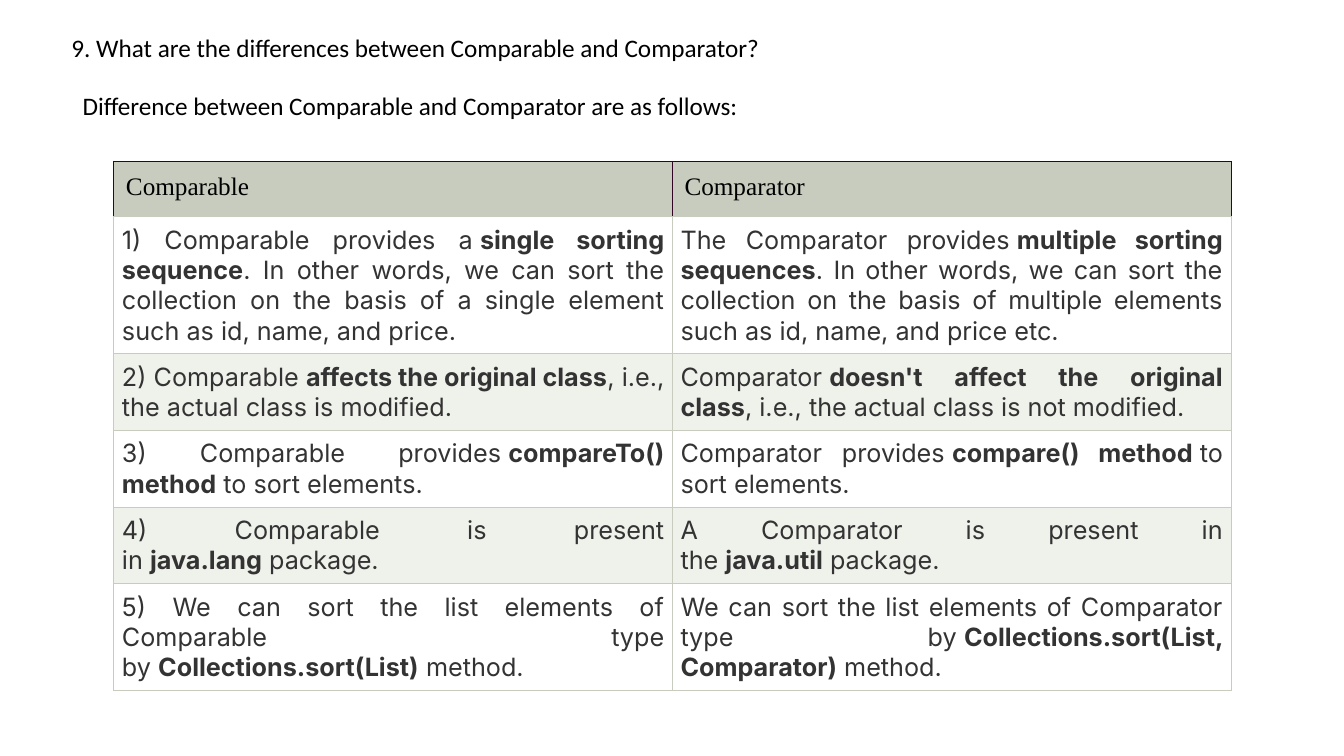
from lxml import etree
from pptx import Presentation
from pptx import util as u
from pptx.dml.color import RGBColor
from pptx.enum import text
from pptx.oxml.ns import qn

WIDTH, HEIGHT = 13.33, 7.5
COLORS = {"black": "000000", "body": "333333", "sage": "C7CCBE",
          "plum": "300422", "white": "FFFFFF", "band": "EFF1EB"}

# text, left, top, width, height
HEADINGS = [
    ("9. What are the differences between Comparable and Comparator?",
     0.61, 0.27, 7.11, 0.4),
    ("Difference between Comparable and Comparator are as follows:",
     0.72, 0.85, 6.78, 1.01),
]
HEADER = ("Comparable", "Comparator")
# lines of text in the row, then per column: lead, bold words, ending
ROWS = [
    (4,
     ("1) Comparable provides a", "single sorting sequence",
      ". In other words, we can sort the collection on the basis of "
      "a single element such as id, name, and price."),
     ("The Comparator provides", "multiple sorting sequences",
      ". In other words, we can sort the collection on the basis of "
      "multiple elements such as id, name, and price etc.")),
    (2,
     ("2) Comparable", "affects the original class",
      ", i.e., the actual class is modified."),
     ("Comparator", "doesn't affect the original class",
      ", i.e., the actual class is not modified.")),
    (2,
     ("3) Comparable provides", "compareTo() method", " to sort elements."),
     ("Comparator provides", "compare() method", " to sort elements.")),
    (2,
     ("4) Comparable is present in", "java.lang", " package."),
     ("A Comparator is present in the", "java.util", " package.")),
    (3,
     ("5) We can sort the list elements of Comparable type by",
      "Collections.sort(List)", " method."),
     ("We can sort the list elements of Comparator type by",
      "Collections.sort(List, Comparator)", " method.")),
]
TABLE_LEFT, TABLE_TOP, COLUMN_WIDTH = 1.13, 1.6, 5.54
HEADER_HEIGHT, LINE_HEIGHT = 0.55, 0.3
HEADER_INSET, BODY_INSET = 0.12, 0.08
HARD_SPACE = chr(160)


def add_span(para, words, font, color, bold=False):
    span = para.add_run()
    span.text = words
    span.font.size = u.Pt(18)
    span.font.name = font
    span.font.bold = bold
    span.font.color.rgb = RGBColor.from_string(COLORS[color])


def style_cell(cell, fill, inset, side_color):
    """Set fill, margins and borders; the bottom border is always sage."""
    cell.fill.solid()
    cell.fill.fore_color.rgb = RGBColor.from_string(COLORS[fill])
    cell.margin_left = cell.margin_right = u.Inches(inset)
    cell.margin_top = cell.margin_bottom = u.Inches(inset)
    props = cell._tc.get_or_add_tcPr()
    for place, side in enumerate("LRTB"):
        line = etree.Element(qn(f"a:ln{side}"), w=str(u.Pt(0.75)))
        paint = etree.SubElement(line, qn("a:solidFill"))
        color = "sage" if side == "B" else side_color
        etree.SubElement(paint, qn("a:srgbClr"), val=COLORS[color])
        props.insert(place, line)


def add_heading(page, words, *place):
    box = page.shapes.add_textbox(*map(u.Inches, place))
    box.text_frame.word_wrap = False
    box.text_frame.auto_size = text.MSO_AUTO_SIZE.SHAPE_TO_FIT_TEXT
    add_span(box.text_frame.paragraphs[0], words, "Calibri", "black")


def add_comparison(page):
    heights = [HEADER_HEIGHT] + [2 * BODY_INSET + LINE_HEIGHT * row[0] for row in ROWS]
    frame = page.shapes.add_table(
        len(heights), len(HEADER), u.Inches(TABLE_LEFT), u.Inches(TABLE_TOP),
        u.Inches(COLUMN_WIDTH * len(HEADER)), u.Inches(sum(heights)))
    table = frame.table
    for column in table.columns:
        column.width = u.Inches(COLUMN_WIDTH)
    for row, height in zip(table.rows, heights):
        row.height = u.Inches(height)

    for col, title in enumerate(HEADER):
        cell = table.cell(0, col)
        style_cell(cell, "sage", HEADER_INSET, "plum")
        add_span(cell.text_frame.paragraphs[0], title, "Times New Roman", "black")

    for number, (_, *entries) in enumerate(ROWS, start=1):
        for col, (lead, strong, ending) in enumerate(entries):
            cell = table.cell(number, col)
            style_cell(cell, "white" if number % 2 else "band", BODY_INSET, "sage")
            para = cell.text_frame.paragraphs[0]
            para.alignment = text.PP_ALIGN.JUSTIFY
            if ending.startswith(" "):
                ending = HARD_SPACE + ending[1:]
            add_span(para, lead + HARD_SPACE, "Inter", "body")
            add_span(para, strong, "Inter", "body", bold=True)
            add_span(para, ending, "Inter", "body")


def main():
    deck = Presentation()
    deck.slide_width, deck.slide_height = u.Inches(WIDTH), u.Inches(HEIGHT)
    page = deck.slides.add_slide(deck.slide_layouts[6])
    for heading in HEADINGS:
        add_heading(page, *heading)
    add_comparison(page)
    deck.save("out.pptx")


if __name__ == "__main__":
    main()
